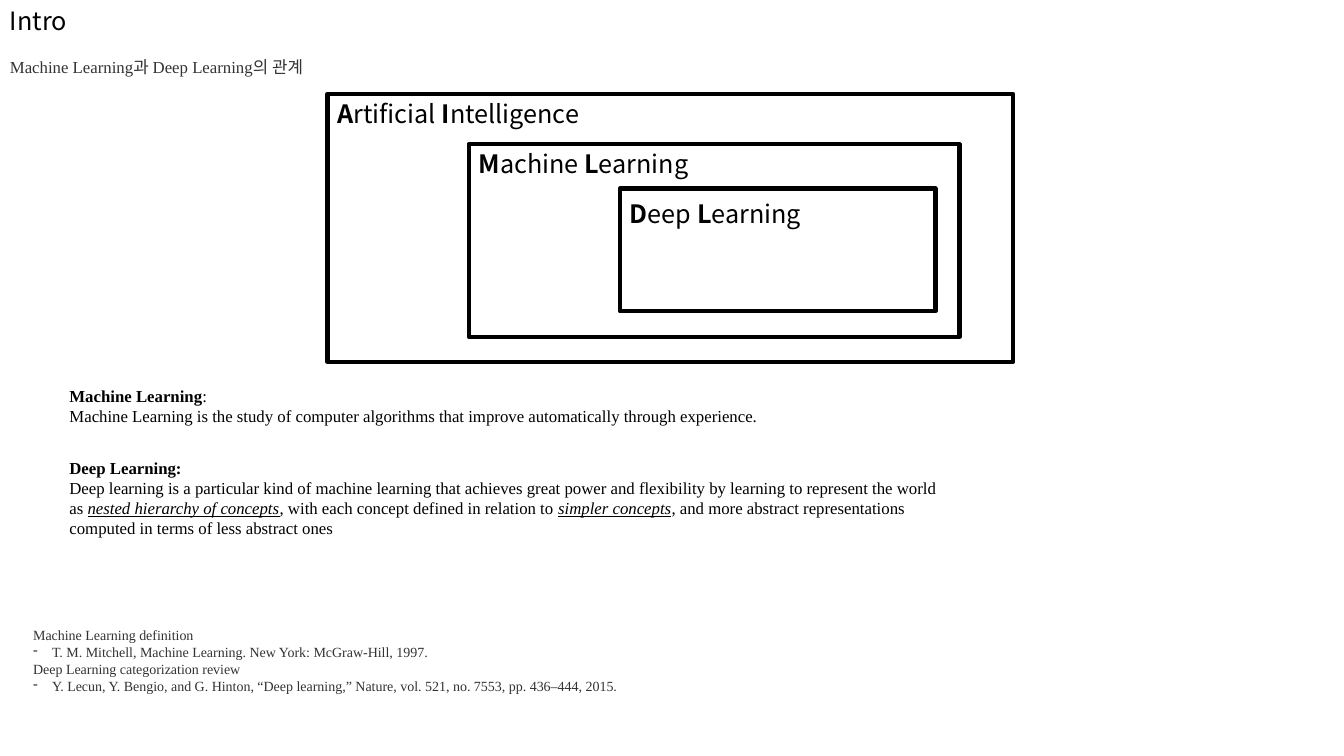
from lxml import etree
from pptx import Presentation
from pptx.dml.color import RGBColor
from pptx.enum.shapes import MSO_SHAPE as Shape
from pptx.enum.text import MSO_AUTO_SIZE as Fit
from pptx.oxml.ns import qn
from pptx.util import Pt

BLACK = RGBColor(0x00, 0x00, 0x00)
GRAY = RGBColor(0x33, 0x33, 0x33)

HEAD = {"size": Pt(18), "name": "Noto Sans CJK KR", "color": BLACK}
BODY = {"size": Pt(12), "name": "Times New Roman", "color": BLACK}
SUB = BODY | {"color": GRAY}
CITE = SUB | {"size": Pt(10)}

BOLD = {"bold": True}
KEY = {"italic": True, "underline": True}


class Page:
    def __init__(self, slide):
        self.slide = slide
        self.shapes = slide.shapes

    def group(self):
        """Send the elements that follow into a new group."""
        self.shapes = self.slide.shapes.add_group_shape().shapes

    def ungroup(self):
        self.shapes = self.slide.shapes

    def text(self, box, style, paras):
        """Each paragraph is a list of (words, extra format) runs."""
        frame = self.shapes.add_textbox(*map(Pt, box)).text_frame
        frame.word_wrap = True
        frame.auto_size = Fit.SHAPE_TO_FIT_TEXT
        for i, runs in enumerate(paras):
            para = frame.add_paragraph() if i else frame.paragraphs[0]
            for words, extra in runs:
                run = para.add_run()
                run.text = words
                self.format(run.font, style | extra)
        return frame

    def format(self, font, style):
        for key, value in style.items():
            if key == "color":
                font.color.rgb = value
            else:
                setattr(font, key, value)

    def dash(self, para):
        props = para._p.get_or_add_pPr()
        props.set("marL", str(Pt(13.5)))
        props.set("indent", str(Pt(-13.5)))
        etree.SubElement(props, qn("a:buChar")).set("char", "-")

    def frame(self, box):
        rect = self.shapes.add_shape(Shape.RECTANGLE, *map(Pt, box))
        rect.shadow.inherit = False
        rect.fill.background()
        rect.line.color.rgb = BLACK
        rect.line.width = Pt(3)

    def field(self, box, top, name):
        """Outline a field and label it, with bold initials."""
        self.frame(box)
        runs = []
        first, second = name.split()
        for word in (first + " ", second):
            runs += [(word[0], BOLD), (word[1:], {})]
        self.text((box[0], top, 228, 30.2), HEAD, [runs])


def main():
    deck = Presentation()
    deck.slide_width, deck.slide_height = Pt(960), Pt(540)
    page = Page(deck.slides.add_slide(deck.slide_layouts[6]))

    page.text((0, 0, 190.8, 29), HEAD, [[("Intro", {})]])
    page.text((0, 36.7, 297.4, 21.8), SUB,
              [[("Machine Learning과 Deep Learning의 관계", {})]])

    page.group()
    page.field((234, 67, 489.6, 191.5), 67, "Artificial Intelligence")
    page.field((334.8, 103, 350.6, 137.5), 102.2, "Machine Learning")
    page.field((442.8, 134.6, 225.4, 87.8), 138.2, "Deep Learning")
    page.ungroup()

    page.text((42.5, 272.2, 646.6, 36), BODY, [
        [("Machine Learning", BOLD), (":", {})],
        [("Machine Learning is the study of computer algorithms that "
          "improve automatically through experience.", {})],
    ])
    page.text((42.5, 323.3, 646.6, 65.5), BODY, [
        [("Deep Learning:", BOLD)],
        [("Deep learning is a particular kind of machine learning that "
          "achieves great power and flexibility by learning to represent "
          "the world as ", {}),
         ("nested hierarchy of concepts", KEY),
         (", with each concept defined in relation to ", {}),
         ("simpler concepts", KEY),
         (", and more abstract representations computed in terms of less "
          "abstract ones", {})],
    ])

    cites = page.text((16.6, 444.2, 875.5, 55.4), CITE, [
        [("Machine Learning definition", {})],
        [("T. M. Mitchell, Machine Learning. New York: McGraw-Hill, 1997.",
          {})],
        [("Deep Learning categorization review", {})],
        [("Y. Lecun, Y. Bengio, and G. Hinton, “Deep learning,” Nature, "
          "vol. 521, no. 7553, pp. 436–444, 2015.", {})],
    ])
    for para in cites.paragraphs[1::2]:
        page.dash(para)

    deck.save("out.pptx")


if __name__ == "__main__":
    main()
